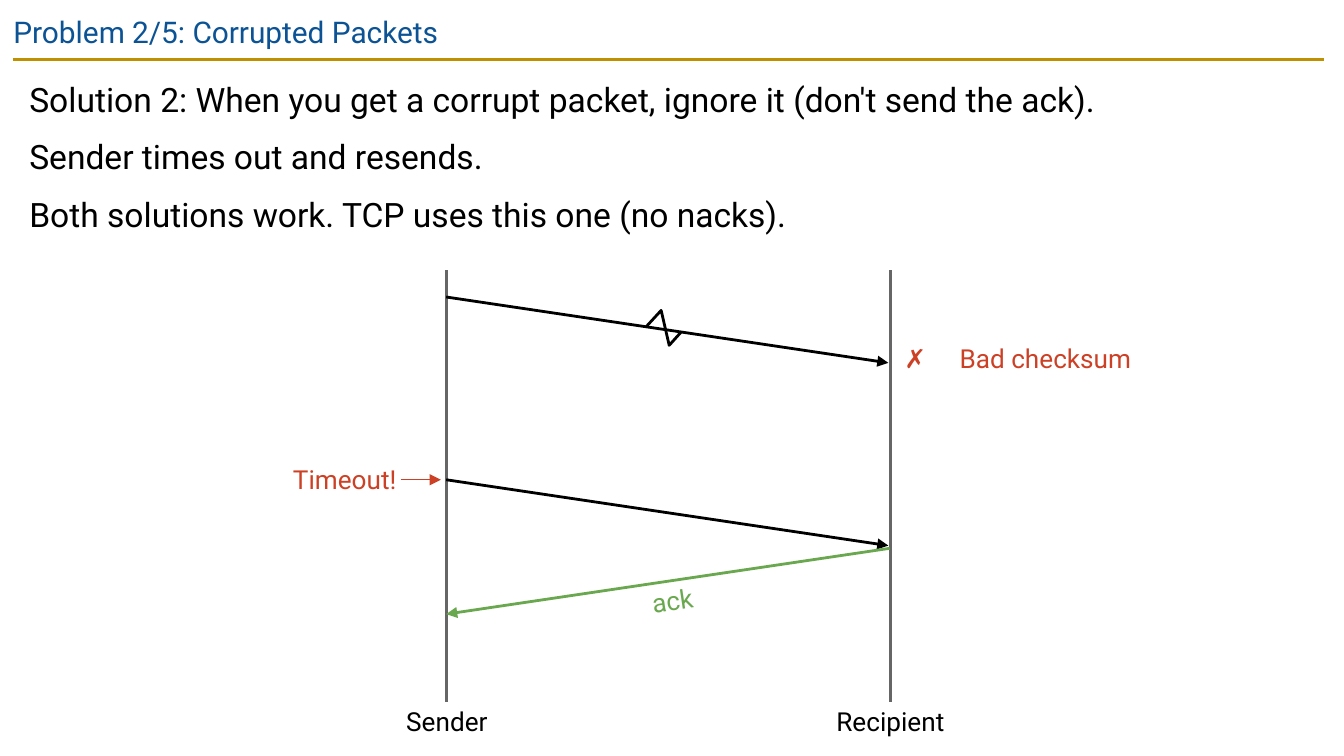
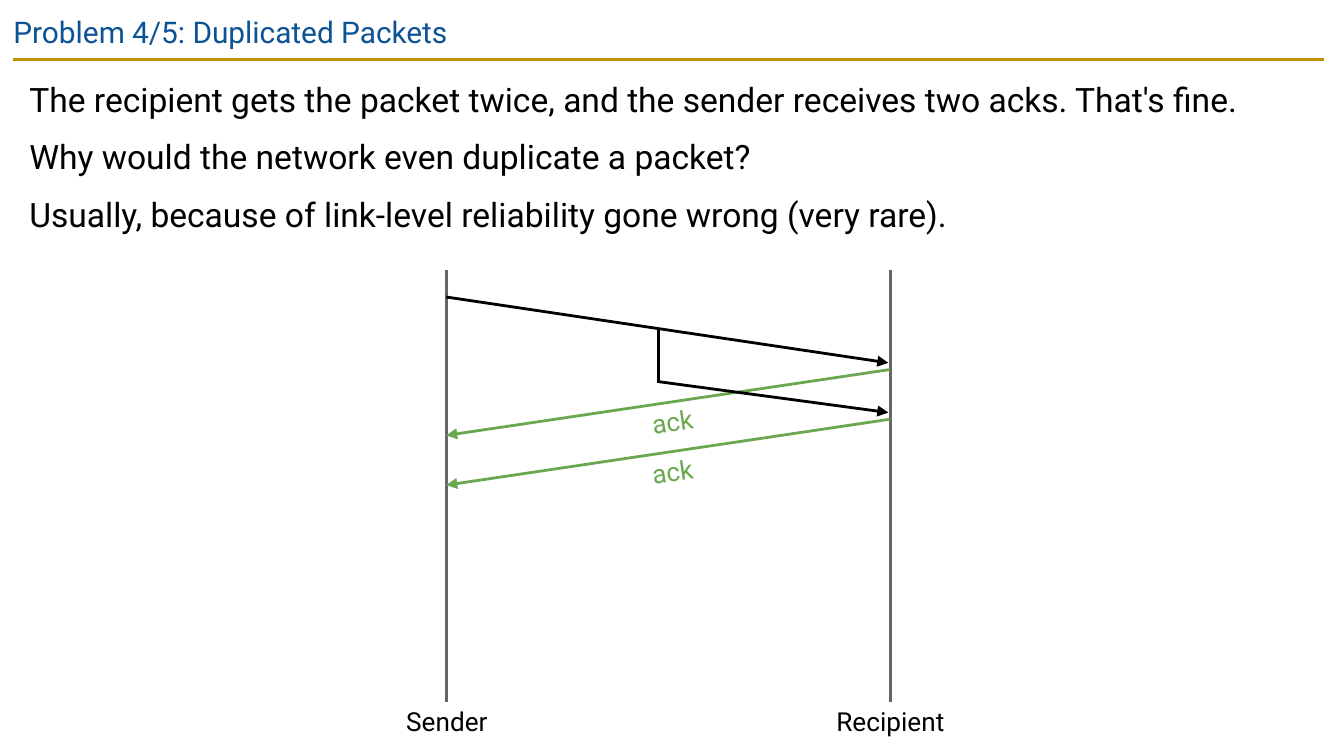
import pptx
import pptx.dml.color
import pptx.enum.shapes
import pptx.enum.text
import pptx.oxml
import pptx.oxml.ns
import pptx.util
from lxml import etree

Inches = pptx.util.Inches
Pt = pptx.util.Pt
RGBColor = pptx.dml.color.RGBColor
Align = pptx.enum.text.PP_ALIGN
AutoSize = pptx.enum.text.MSO_AUTO_SIZE
qn = pptx.oxml.ns.qn

BLACK = RGBColor(0x00, 0x00, 0x00)
BLUE = RGBColor(0x0B, 0x53, 0x94)
GOLD = RGBColor(0xBF, 0x90, 0x00)
GRAY = RGBColor(0x66, 0x66, 0x66)
GREEN = RGBColor(0x6A, 0xA8, 0x4F)
RED = RGBColor(0xCC, 0x41, 0x25)

FONT = "Roboto"
SENDER_X, RECIPIENT_X = 3.32, 6.62
ARRIVAL_X = 6.61  # arrowheads stop just short of the recipient's timeline
TIMELINE_TOP, TIMELINE_BOTTOM = 2.01, 5.22
FLIGHT_DROP = 0.49  # how far a message falls while it crosses
LABEL_HEIGHT = 0.3
ACK_TILT = 351.5


def style_paragraph(paragraph, size, color, align=Align.LEFT):
    paragraph.alignment = align
    font = paragraph.font
    font.name, font.size = FONT, Pt(size)
    font.color.rgb = color


def set_frame(frame, inset_x, inset_y, auto_size=AutoSize.NONE):
    frame.word_wrap = True
    frame.auto_size = auto_size
    frame.vertical_anchor = pptx.enum.text.MSO_ANCHOR.TOP
    frame.margin_left = frame.margin_right = Inches(inset_x)
    frame.margin_top = frame.margin_bottom = Inches(inset_y)


def add_line(shapes, start, end, color, width=1.5, arrow=False):
    line = shapes.add_connector(
        pptx.enum.shapes.MSO_CONNECTOR.STRAIGHT,
        *(Inches(value) for value in (*start, *end)))
    line.line.color.rgb = color
    line.line.width = Pt(width)
    if arrow:
        outline = line.element.spPr.find(qn("a:ln"))
        etree.SubElement(outline, qn("a:tailEnd"), type="triangle")
    etree.SubElement(line.element.spPr, qn("a:effectLst"))
    return line


def add_label(shapes, text, left, top, width, color, align=Align.CENTER,
              inset_x=0.03, height=LABEL_HEIGHT, auto_size=AutoSize.SHAPE_TO_FIT_TEXT):
    label = shapes.add_textbox(Inches(left), Inches(top), Inches(width), Inches(height))
    set_frame(label.text_frame, inset_x, 0.03, auto_size)
    label.text_frame.text = text
    style_paragraph(label.text_frame.paragraphs[0], 14, color, align)
    return label


def add_title_rule(layout, slide):
    """Draw the gold rule once and place it on the layout."""
    rule = add_line(slide.shapes, (0.1, 0.44), (9.85, 0.44), GOLD)
    layout.shapes.element.append(rule.element)


def add_title(slide, text):
    title = slide.shapes.title
    title.left, title.top = Inches(0), Inches(0)
    title.width, title.height = Inches(9.32), Inches(0.43)
    set_frame(title.text_frame, 0.1, 0.1)
    title.text_frame.text = text
    style_paragraph(title.text_frame.paragraphs[0], 16, BLUE)


def add_body(slide, lines):
    body = slide.shapes.add_textbox(Inches(0.12), Inches(0.44), Inches(9.74), Inches(1.46))
    set_frame(body.text_frame, 0.1, 0.1)
    body.text_frame.text = "\n".join(lines)
    for paragraph in body.text_frame.paragraphs:
        style_paragraph(paragraph, 18, BLACK)
        paragraph.line_spacing = 1.15
        paragraph.space_before = Pt(6)


def add_timelines(slide):
    for name, left, width in (("Sender", 2.72, 1.21), ("Recipient", 5.97, 1.31)):
        label = add_label(slide.shapes, name, left, TIMELINE_BOTTOM, width, BLACK, inset_x=0.1)
        x = left + width / 2
        timeline = add_line(slide.shapes, (x, TIMELINE_TOP), (x, TIMELINE_BOTTOM), GRAY)
        timeline.end_connect(label, 0)


def add_packet(slide, top):
    add_line(slide.shapes, (SENDER_X, top), (ARRIVAL_X, top + FLIGHT_DROP), BLACK, arrow=True)


def add_ack(slide, top):
    ack = slide.shapes.add_group_shape().shapes
    add_line(ack, (RECIPIENT_X, top), (SENDER_X, top + FLIGHT_DROP), GREEN, arrow=True)
    label = add_label(ack, "ack", 4.77, top + 0.24, 0.47, GREEN,
                      height=0.31, auto_size=AutoSize.NONE)
    label.rotation = ACK_TILT


def add_corruption_mark(slide):
    """Draw the zigzag across the damaged packet's arrow."""
    points = [(Inches(x), Inches(y))
              for x, y in ((4.81, 2.43), (4.92, 2.31), (4.98, 2.57), (5.07, 2.47))]
    builder = slide.shapes.build_freeform(*points[0])
    builder.add_line_segments(points[1:], close=False)
    zigzag = builder.convert_to_shape()
    zigzag.shadow.inherit = False
    zigzag.fill.background()
    zigzag.line.color.rgb = BLACK
    zigzag.line.width = Pt(1.5)


def add_bad_checksum(slide):
    label = add_label(slide.shapes, "✗", 6.7, 2.52, 1.83, RED, Align.LEFT)
    paragraph = label.text_frame.paragraphs[0]
    paragraph.runs[0].font.bold = True
    paragraph.add_run().text = "\tBad checksum"
    tabs = etree.Element(qn("a:tabLst"))
    etree.SubElement(tabs, qn("a:tab"), pos=str(Inches(0.41)), algn="l")
    label.element.find(".//" + qn("a:pPr")).insert(0, tabs)


def add_timeout(slide, y):
    label = add_label(slide.shapes, "Timeout!", 1.96, y - LABEL_HEIGHT / 2, 1.02,
                      RED, Align.RIGHT)
    arrow = add_line(slide.shapes, (2.98, y), (3.28, y), RED, 0.75, arrow=True)
    arrow.begin_connect(label, 3)


def add_duplicate(slide):
    """Branch a second copy off the packet in mid-flight."""
    branch_x = 4.9
    add_line(slide.shapes, (branch_x, 2.84), (ARRIVAL_X, 3.07), BLACK, arrow=True)
    add_line(slide.shapes, (branch_x, 2.44), (branch_x, 2.85), BLACK)


def add_problem_slide(prs, layout, title, lines):
    slide = prs.slides.add_slide(layout)
    add_title(slide, title)
    add_body(slide, lines)
    add_timelines(slide)
    return slide


def main():
    prs = pptx.Presentation()
    prs.slide_width = Inches(10)
    prs.slide_height = prs.slide_width * 9 // 16
    layout = prs.slide_layouts.get_by_name("Title Only")

    corrupted = add_problem_slide(prs, layout, "Problem 2/5: Corrupted Packets", [
        "Solution 2: When you get a corrupt packet, ignore it (don't send the ack).",
        "Sender times out and resends.",
        "Both solutions work. TCP uses this one (no nacks).",
    ])
    add_title_rule(layout, corrupted)
    resend_y = 3.57
    add_packet(corrupted, 2.21)
    add_corruption_mark(corrupted)
    add_bad_checksum(corrupted)
    add_timeout(corrupted, resend_y)
    add_packet(corrupted, resend_y)
    add_ack(corrupted, 4.08)

    duplicated = add_problem_slide(prs, layout, "Problem 4/5: Duplicated Packets", [
        "The recipient gets the packet twice, and the sender receives two acks. That's fine.",
        "Why would the network even duplicate a packet?",
        "Usually, because of link-level reliability gone wrong (very rare).",
    ])
    for ack_y in (2.75, 3.12):
        add_ack(duplicated, ack_y)
    add_packet(duplicated, 2.21)
    add_duplicate(duplicated)

    prs.save("out.pptx")


if __name__ == "__main__":
    main()
